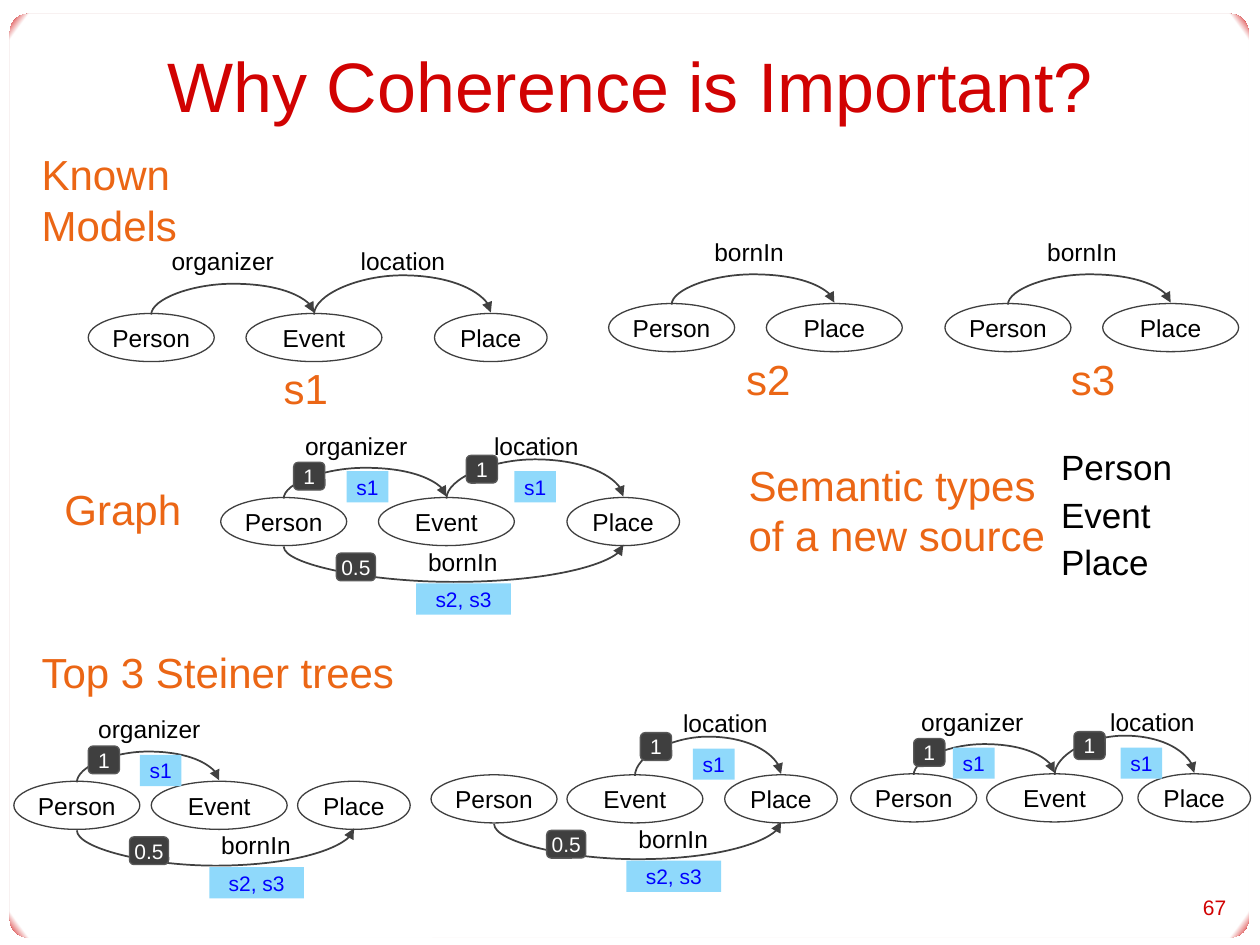
from dataclasses import dataclass

from lxml import etree
from pptx import Presentation
from pptx.dml.color import RGBColor
from pptx.enum.shapes import MSO_CONNECTOR, MSO_SHAPE
from pptx.enum.text import MSO_ANCHOR, PP_ALIGN
from pptx.oxml import parse_xml
from pptx.oxml.ns import nsdecls, qn
from pptx.util import Cm, Pt

CURVE = MSO_CONNECTOR.CURVE
OVAL, RECT, ROUND = MSO_SHAPE.OVAL, MSO_SHAPE.RECTANGLE, MSO_SHAPE.ROUNDED_RECTANGLE
LEFT, CENTER, RIGHT = PP_ALIGN.LEFT, PP_ALIGN.CENTER, PP_ALIGN.RIGHT
TOP, MIDDLE = MSO_ANCHOR.TOP, MSO_ANCHOR.MIDDLE
OVAL_TOP, OVAL_BOTTOM = 0, 4


@dataclass(frozen=True)
class Theme:
    """Colours, font and type sizes of the deck."""
    font: str = "Arial"
    red: str = "D10202"
    orange: str = "EB6615"
    black: str = "000000"
    white: str = "FFFFFF"
    outline: str = "3F3F3F"
    arrow: str = "404040"
    weight_line: str = "595959"
    source_fill: str = "8FD9FB"
    source_text: str = "0000FF"
    title: int = 40
    heading: int = 24
    listing: int = 20
    label: int = 14
    small: int = 12


@dataclass(frozen=True)
class Relation:
    """A kind of edge: its end nodes, arch height, tags and their heights."""
    name: str
    start: int
    end: int
    arch: float
    label_y: float
    label_width: float
    weight: str = ""
    weight_y: float = 0
    weight_width: float = 0.63
    source: str = ""
    source_y: float = 0
    source_width: float = 0.84


THEME = Theme()
ORGANIZER = Relation("organizer", 0, 1, 0.62, -1.35, 2.24, "1", -0.71, 0.63, "s1", -0.53)
LOCATION = Relation("location", 1, 2, 0.79, -1.35, 1.93, "1", -0.85, 0.63, "s1", -0.53)
BORN_ABOVE = Relation("bornIn", 0, 1, 0.61, -1.35, 1.55)
BORN_BELOW = Relation("bornIn", 0, 2, -0.71, 0.99, 1.55, "0.5", 1.12, 0.79,
                      "s2, s3", 1.73, 1.91)
NODE_WIDTHS = {"Person": 2.54, "Event": 2.74, "Place": 2.27}
NODE_HEIGHT = 0.97
BORN_TAGS = (BORN_BELOW, 4.18, 2.33, 3.94)

GRAPHS = [
    (1.78, 6.32, {"Person": 0, "Event": 3.18, "Place": 6.98},
     [(ORGANIZER, 1.68), (LOCATION, 5.49)]),
    (12.27, 6.12, {"Person": 0, "Place": 3.18}, [(BORN_ABOVE, 2.13)]),
    (19.05, 6.12, {"Person": 0, "Place": 3.18}, [(BORN_ABOVE, 2.06)]),
    (4.45, 10.03, {"Person": 0, "Event": 3.18, "Place": 6.98},
     [(ORGANIZER, 1.7, 1.47, 2.54), (LOCATION, 5.51, 4.95, 5.92), BORN_TAGS]),
    (0.28, 15.75, {"Person": 0, "Event": 2.77, "Place": 5.72},
     [(ORGANIZER, 1.7, 1.5, 2.54), BORN_TAGS]),
    (8.69, 15.62, {"Person": 0, "Event": 2.74, "Place": 5.92},
     [(LOCATION, 5.08, 4.22, 5.28), BORN_TAGS]),
    (17.15, 15.6, {"Person": 0, "Event": 2.74, "Place": 5.79},
     [(ORGANIZER, 1.42, 1.27, 2.06), (LOCATION, 5.23, 4.5, 5.44)]),
]
HEADINGS = [
    (["Known Models"], 0.84, 3.38, 5.36, 1.27, True),
    (["s1"], 5.72, 7.19, 0.91, 1.27, False),
    (["s2"], 15.04, 6.99, 0.91, 1.27, False),
    (["s3"], 21.59, 6.99, 0.91, 1.27, False),
    (["Graph"], 1.3, 9.63, 2.39, 1.27, False),
    (["Semantic types", "of a new source"], 15.09, 9.12, 6.07, 2.31, False),
    (["Top 3 Steiner trees"], 0.84, 12.9, 7.21, 1.27, True),
]


def write(box, lines, size, color, align=LEFT, anchor=MIDDLE, margins=(0, 0), wrap=True):
    """Fill a shape's text frame with formatted paragraphs."""
    frame = box.text_frame
    frame.word_wrap, frame.vertical_anchor = wrap, anchor
    frame.margin_left = frame.margin_right = Cm(margins[0])
    frame.margin_top = frame.margin_bottom = Cm(margins[1])
    for index, line in enumerate(lines):
        para = frame.add_paragraph() if index else frame.paragraphs[0]
        para.alignment = align
        span = para.add_run()
        span.text = line
        span.font.name, span.font.size = THEME.font, Pt(size)
        span.font.color.rgb = RGBColor.from_string(color)


def add_text(page, box, lines, size, color, **layout):
    """Place a text box in the given box of centimetres."""
    write(page.shapes.add_textbox(*map(Cm, box)), lines, size, color, **layout)


def add_block(page, kind, box, text, size, color, fill, line=None, margins=(0, 0)):
    """Place a filled shape with centred text."""
    shape = page.shapes.add_shape(kind, *map(Cm, box))
    shape.shadow.inherit = False
    shape.fill.solid()
    shape.fill.fore_color.rgb = RGBColor.from_string(fill)
    if line:
        shape.line.color.rgb = RGBColor.from_string(line)
        shape.line.width = Pt(0.75)
    else:
        shape.line.fill.background()
    write(shape, [text], size, color, CENTER, margins=margins)
    return shape


def add_arc(page, start, end, arch):
    """Join two nodes by a curved arrow arching above, or below if negative."""
    site, edge = (OVAL_TOP, start.top) if arch > 0 else (OVAL_BOTTOM, start.top + start.height)
    first, last = (node.left + node.width // 2 for node in (start, end))
    middle, half, rise = (first + last) // 2, (last - first) // 2, Cm(0.04)
    arc = page.shapes.add_connector(CURVE, middle - rise // 2, edge - half,
                                    middle + rise // 2, edge + half)
    arc.line.color.rgb = RGBColor.from_string(THEME.arrow)
    arc.line.width = Pt(1)
    arc.line._get_or_add_ln().append(parse_xml(f'<a:tailEnd {nsdecls("a")} type="triangle"/>'))
    shape_props = arc._element.spPr
    shape_props.get_or_add_xfrm().rot = 270
    etree.SubElement(shape_props, qn("a:effectLst"))
    guides = shape_props.find(qn("a:prstGeom")).get_or_add_avLst()
    ratio = round(Cm(arch) / rise * 100000)
    etree.SubElement(guides, qn("a:gd"), name="adj1", fmla=f"val {ratio}")
    links = arc._element.nvCxnSpPr.cNvCxnSpPr
    for link, node in ((links.get_or_add_stCxn(), start), (links.get_or_add_endCxn(), end)):
        link.id, link.idx = node.shape_id, site


def add_graph(page, left, top, places, edges):
    """Draw a row of nodes with its arcs, labels, weights and sources."""
    nodes = []
    for name, x in places.items():
        width = NODE_WIDTHS[name if len(places) > 2 or name == "Person" else "Event"]
        nodes.append(add_block(page, OVAL, (left + x, top, width, NODE_HEIGHT), name,
                               THEME.label, THEME.black, THEME.white, THEME.outline, (0, 0.13)))
    for relation, label_x, *tags in edges:
        add_arc(page, nodes[relation.start], nodes[relation.end], relation.arch)
        add_text(page, (left + label_x, top + relation.label_y, relation.label_width, 0.61),
                 [relation.name], THEME.label, THEME.black, anchor=TOP)
        if tags:
            weight_x, source_x = tags
            add_block(page, ROUND, (left + weight_x, top + relation.weight_y,
                                    relation.weight_width, 0.56), relation.weight,
                      THEME.small, THEME.white, THEME.outline, THEME.weight_line)
            add_block(page, RECT, (left + source_x, top + relation.source_y,
                                   relation.source_width, 0.63), relation.source,
                      THEME.small, THEME.source_text, THEME.source_fill)


def add_frame(page, left, top, width, height):
    """Put the rounded page frame with red corners behind everything."""
    frame = page.shapes.add_shape(ROUND, Cm(left), Cm(top), Cm(width), Cm(height))
    frame.shadow.inherit = False
    frame.adjustments[0] = 0.02
    frame.line.fill.background()
    stops = "".join(f'<a:gs pos="{at}"><a:srgbClr val="{color}"/></a:gs>' for at, color in
                    ((0, THEME.white), (98000, THEME.white), (100000, THEME.red)))
    frame._element.spPr.find(qn("a:prstGeom")).addnext(parse_xml(
        f'<a:gradFill {nsdecls("a")} rotWithShape="1"><a:gsLst>{stops}</a:gsLst>'
        '<a:path path="circle"><a:fillToRect l="50000" t="50000" r="50000" b="50000"/>'
        '</a:path></a:gradFill>'))
    page.shapes._spTree.insert(2, frame._element)


def add_title(page, left, top, width, height):
    """Move and format the title placeholder."""
    title = page.shapes.title
    title.left, title.top, title.width, title.height = map(Cm, (left, top, width, height))
    write(title, ["Why Coherence is Important?"], THEME.title, THEME.red, CENTER,
          margins=(0.25, 0.13))


def add_type_list(page, left, top, step):
    """List the semantic types of the new source."""
    for index, name in enumerate(NODE_WIDTHS):
        add_text(page, (left, top + index * step, 2.26, 0.86), [name],
                 THEME.listing, THEME.black, anchor=TOP, wrap=False)


def main():
    """Build and save the slide."""
    deck = Presentation()
    deck.slide_width, deck.slide_height = Cm(25.4), Cm(19.05)
    page = deck.slides.add_slide(deck.slide_layouts[5])
    add_frame(page, 0.2, 0.28, 24.97, 18.62)
    add_title(page, 1.27, 0.43, 22.86, 2.54)
    for graph in GRAPHS:
        add_graph(page, *graph)
    for lines, left, top, width, height, wrap in HEADINGS:
        add_text(page, (left, top, width, height), lines, THEME.heading, THEME.orange,
                 margins=(0, 0.13), wrap=wrap)
    add_type_list(page, 21.39, 8.99, 0.95)
    add_text(page, (23.5, 17.88, 1.47, 0.81), ["67"], THEME.small, THEME.red,
             align=RIGHT, margins=(0.25, 0.13))
    deck.save("out.pptx")


if __name__ == "__main__":
    main()
